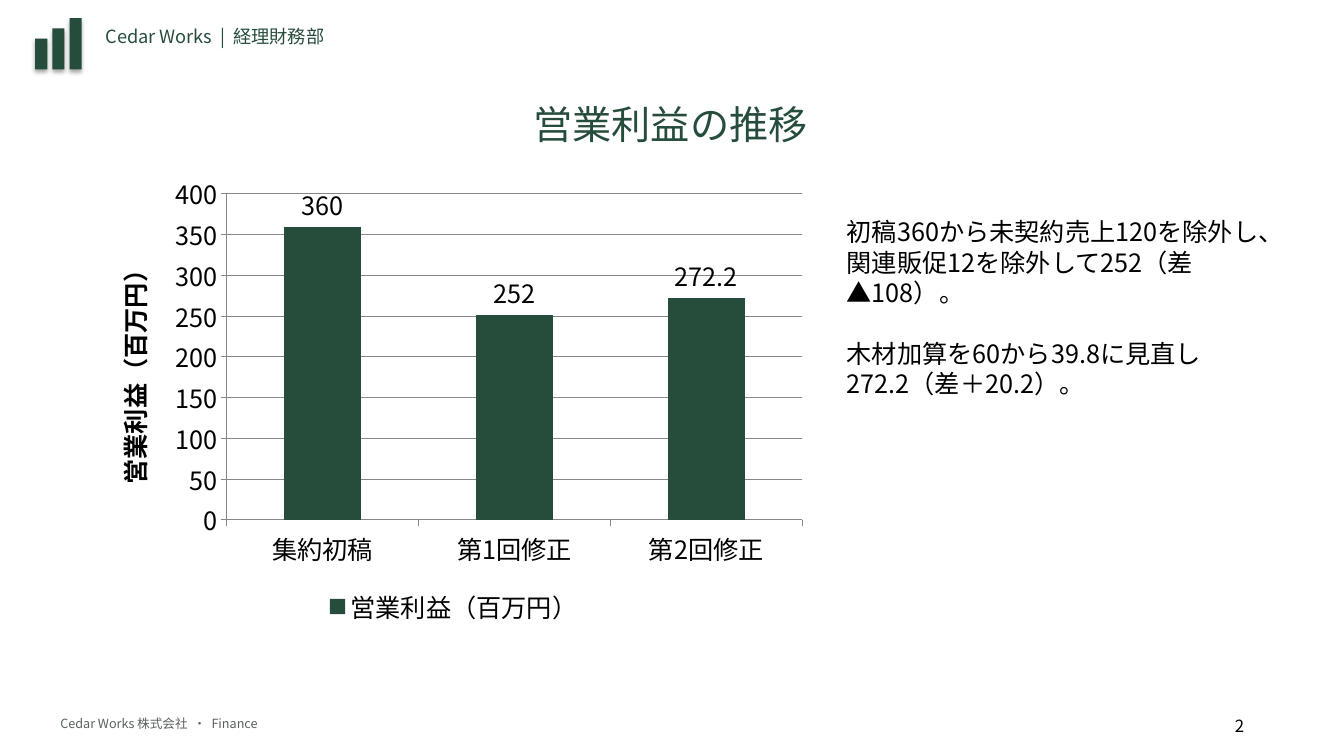
from pptx import Presentation, util as u
from pptx.chart.data import CategoryChartData
from pptx.dml.color import RGBColor
from pptx.enum import chart as ch, shapes, text
from pptx.oxml import parse_xml
from pptx.oxml.ns import nsdecls, qn

WIDTH, HEIGHT = 13.33, 7.5
FONT = "Noto Sans CJK JP"
GREEN, GREY, BLACK, AXIS = "264D3C", "59615C", "000000", "878787"
PROFIT = "営業利益（百万円）"


def color(value):
    return RGBColor.from_string(value)


def inches(box):
    return [u.Inches(length) for length in box]


def style_font(font, size, ink, bold=False):
    font.name, font.size, font.bold = FONT, u.Pt(size), bold
    font.color.rgb = color(ink)


def set_east_asian_font(element):
    """Give every styled run the same typeface for Japanese text."""
    for latin in list(element.iter(qn("a:latin"))):
        latin.addnext(parse_xml(f'<a:ea {nsdecls("a")} typeface="{FONT}"/>'))


def add_text(page, box, lines, size, ink, align=text.PP_ALIGN.LEFT, gap=0):
    frame = page.shapes.add_textbox(*inches(box)).text_frame
    frame.word_wrap = True
    frame.text = "\n".join(lines)
    for index, para in enumerate(frame.paragraphs):
        para.alignment = align
        if index:
            para.space_before = u.Pt(gap)
        for span in para.runs:
            style_font(span.font, size, ink)


def add_bar_mark(page, box):
    """Three rising bars standing on the bottom edge of the box."""
    left, top, width, height = box
    step = width * 0.37
    for index in range(3):
        bar_height = height * (0.6 + 0.2 * index)
        bar = page.shapes.add_shape(
            shapes.MSO_SHAPE.RECTANGLE,
            *inches((left + index * step, top + height - bar_height,
                     width - 2 * step, bar_height)))
        bar.fill.solid()
        bar.fill.fore_color.rgb = color(GREEN)
        bar.line.fill.background()
        bar.shadow.inherit = False
        effects = bar.element.spPr.find(qn("a:effectLst"))
        effects.append(parse_xml(
            f'<a:outerShdw {nsdecls("a")} blurRad="{u.Pt(3.1)}" dist="{u.Pt(1.8)}" '
            'dir="5400000" rotWithShape="0"><a:srgbClr val="000000">'
            '<a:alpha val="35000"/></a:srgbClr></a:outerShdw>'))


def add_header(page, box):
    left, top, width, height = box
    add_bar_mark(page, (left, top, 0.46, height))
    add_text(page, (left + 0.6, top + 0.02, width - 0.6, height),
             ["Cedar Works  |  経理財務部"], 13, GREEN)


def add_footer(page, box):
    left, top, width, height = box
    number_width = 0.6
    add_text(page, (left, top, 11, height),
             ["Cedar Works 株式会社  •  Finance"], 9, GREY)
    add_text(page, (left + width - number_width, top, number_width, height),
             ["2"], 12, BLACK)


def add_profit_chart(page, box):
    data = CategoryChartData()
    data.categories = ["集約初稿", "第1回修正", "第2回修正"]
    data.add_series(PROFIT, [360, 252, 272.2])
    chart = page.shapes.add_chart(
        ch.XL_CHART_TYPE.COLUMN_CLUSTERED, *inches(box), data).chart
    style_font(chart.font, 18, BLACK)
    chart.has_title = False
    chart.has_legend = True
    chart.legend.position = ch.XL_LEGEND_POSITION.BOTTOM
    chart.legend.include_in_layout = False

    # Columns and their values
    plot = chart.plots[0]
    plot.vary_by_categories = False
    plot.gap_width = 150
    series = plot.series[0]
    series.format.fill.solid()
    series.format.fill.fore_color.rgb = color(GREEN)
    labels = series.data_labels
    labels.show_value = True
    labels.position = ch.XL_LABEL_POSITION.OUTSIDE_END
    style_font(labels.font, 18, BLACK)

    # Axes
    values = chart.value_axis
    values.minimum_scale, values.maximum_scale, values.major_unit = 0, 400, 50
    values.has_major_gridlines = True
    title = values.axis_title.text_frame
    title.text = PROFIT
    style_font(title.paragraphs[0].runs[0].font, 18, BLACK, bold=True)
    for axis in (chart.category_axis, values):
        axis.major_tick_mark = ch.XL_TICK_MARK.OUTSIDE
    for ruled in (chart.category_axis, values, values.major_gridlines):
        ruled.format.line.color.rgb = color(AXIS)
        ruled.format.line.width = u.Pt(0.75)
    set_east_asian_font(chart.element)


def add_chart_page(deck):
    page = deck.slides.add_slide(deck.slide_layouts[6])
    add_header(page, (0.35, 0.18, 8.6, 0.51))
    add_footer(page, (0.5, 7.05, 12.25, 0.3))
    add_text(page, (0.65, 0.95, 12, 0.8), ["営業利益の推移"], 28, GREEN,
             text.PP_ALIGN.CENTER)
    add_profit_chart(page, (0.9, 1.65, 7.2, 4.6))
    add_text(page, (8.3, 2.1, 4.3, 3.4), [
        "初稿360から未契約売上120を除外し、関連販促12を除外して252（差▲108）。",
        "木材加算を60から39.8に見直し272.2（差＋20.2）。",
    ], 18, BLACK, gap=22)
    for shape in page.shapes:
        set_east_asian_font(shape.element)


def main():
    deck = Presentation()
    deck.slide_width, deck.slide_height = inches((WIDTH, HEIGHT))
    add_chart_page(deck)
    deck.save("out.pptx")


if __name__ == "__main__":
    main()
